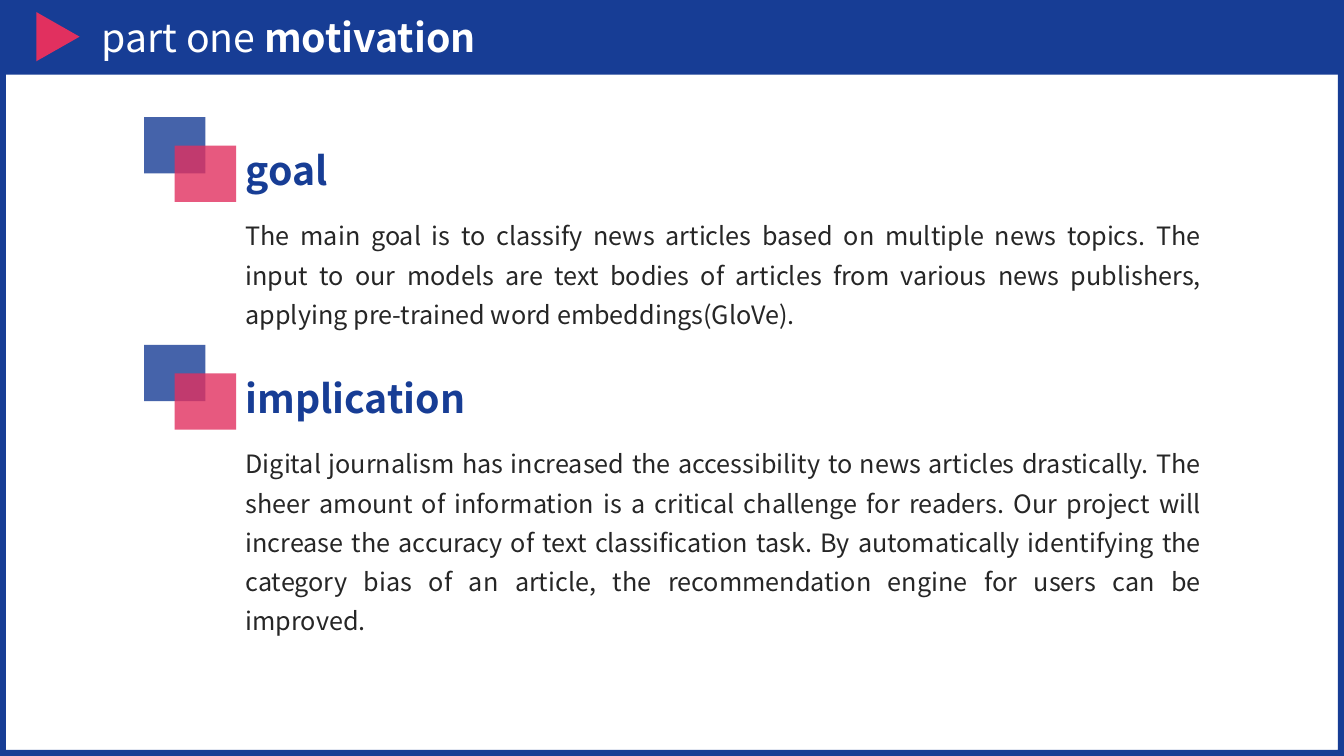
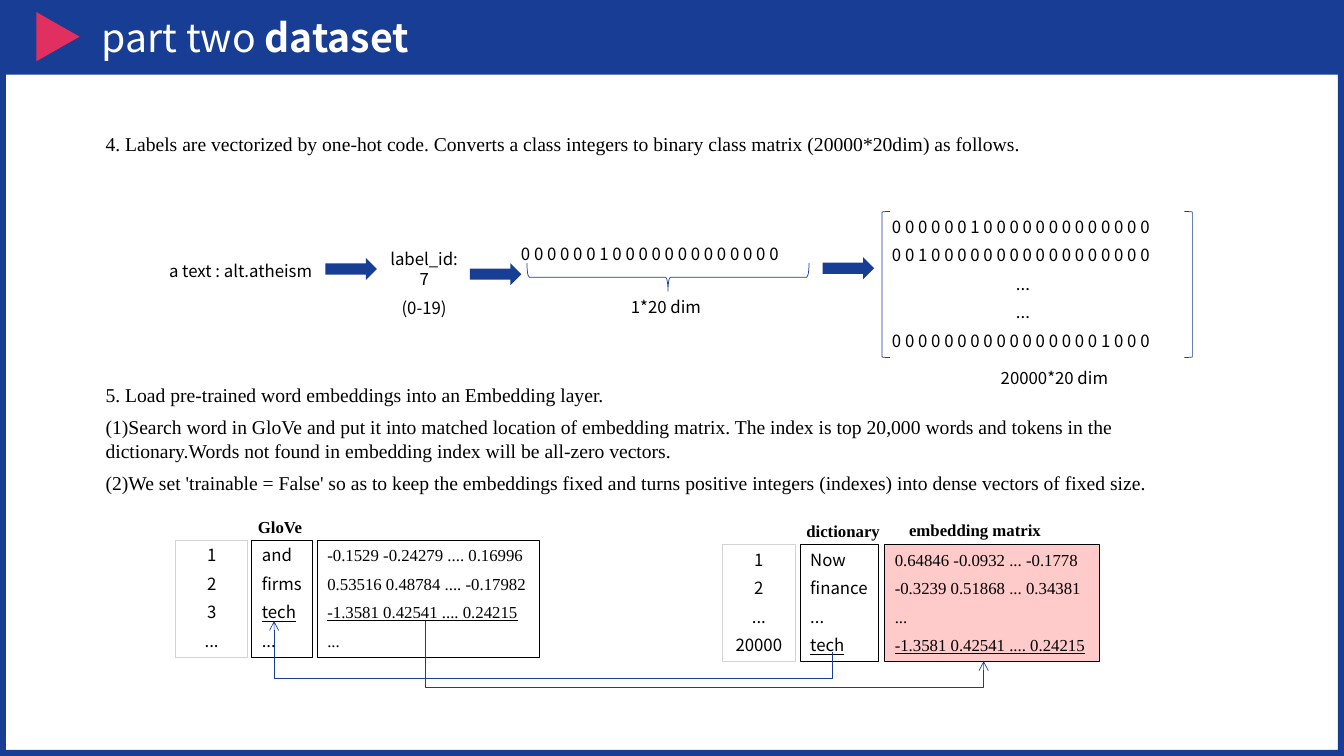
from lxml import etree
from pptx import Presentation
from pptx.dml.color import RGBColor
from pptx.enum.shapes import MSO_CONNECTOR, MSO_SHAPE
from pptx.enum.text import MSO_ANCHOR, MSO_AUTO_SIZE, PP_ALIGN
from pptx.oxml.ns import qn
from pptx.util import Cm, Pt

BLUE = RGBColor(0x17, 0x3D, 0x95)
RED = RGBColor(0xE1, 0x30, 0x5F)
PINK = RGBColor(0xFF, 0xCA, 0xCA)
GRAY = RGBColor(0xD3, 0xD3, 0xD3)
DARK = RGBColor(0x26, 0x26, 0x26)
BLACK = RGBColor(0, 0, 0)
WHITE = RGBColor(0xFF, 0xFF, 0xFF)
SANS = "Noto Sans CJK SC"
SERIF = "Times New Roman"
RECTANGLE = MSO_SHAPE.RECTANGLE
RIGHT_ARROW = MSO_SHAPE.RIGHT_ARROW
LEFT, CENTER, JUSTIFY = PP_ALIGN.LEFT, PP_ALIGN.CENTER, PP_ALIGN.JUSTIFY
TOP, MIDDLE = MSO_ANCHOR.TOP, MSO_ANCHOR.MIDDLE


def add_shape(slide, kind, box, fill=None, line=None, line_width=0.5):
    shape = slide.shapes.add_shape(kind, *[Cm(length) for length in box])
    shape.shadow.inherit = False
    if fill is None:
        shape.fill.background()
    else:
        shape.fill.solid()
        shape.fill.fore_color.rgb = fill
    if line is None:
        shape.line.fill.background()
    else:
        shape.line.color.rgb = line
        shape.line.width = Pt(line_width)
    return shape


def write_text(shape, lines, size=12, font=SANS, color=BLACK, bold=False,
               alignment=LEFT, before=6, first_spacing=None):
    frame = shape.text_frame
    frame.word_wrap = True
    frame.vertical_anchor = TOP
    if alignment == LEFT:
        frame.margin_right = 0
    frame.text = "\n".join(lines)
    for paragraph in frame.paragraphs:
        paragraph.alignment = alignment
        paragraph.space_before = Pt(before)
        for run in paragraph.runs:
            run.font.size = Pt(size)
            run.font.name = font
            run.font.bold = bold
            run.font.color.rgb = color
    if first_spacing:
        frame.paragraphs[0].line_spacing = first_spacing
    return frame


presentation = Presentation()
presentation.slide_width = Cm(33.87)
presentation.slide_height = Cm(19.05)
layout = presentation.slide_layouts[5]

layout_title = layout.placeholders[0]
layout_title.left, layout_title.top = Cm(2.31), Cm(0)
layout_title.width, layout_title.height = Cm(30.43), Cm(1.88)
layout_title.text_frame.vertical_anchor = MIDDLE
layout_title.text_frame.auto_size = MSO_AUTO_SIZE.NONE

slides = []
for part, topic in (("part one ", "motivation"), ("part two ", "dataset")):
    slide = presentation.slides.add_slide(layout)
    paragraph = slide.shapes.title.text_frame.paragraphs[0]
    paragraph.alignment = LEFT
    for text, bold in ((part, False), (topic, True)):
        run = paragraph.add_run()
        run.text = text
        run.font.size = Pt(28)
        run.font.name = SANS
        run.font.bold = bold
        run.font.color.rgb = WHITE
    slides.append(slide)
motivation, dataset = slides

border = add_shape(motivation, MSO_SHAPE.FRAME, (0, 0, 33.87, 19.05), BLUE)
border.adjustments[0] = 0.008
band = add_shape(motivation, RECTANGLE, (0, 0, 33.87, 1.88), BLUE)
marker = add_shape(motivation, MSO_SHAPE.ISOSCELES_TRIANGLE, (0.84, 0.38, 1.24, 1.09), RED)
marker.rotation = 90
for number, shape in enumerate((border, band, marker), 101):
    shape.element.xpath(".//p:cNvPr")[0].set("id", str(number))
    layout.shapes.element.append(shape.element)

sections = (
    (2.95, 3.25, "goal",
     "The main goal is to classify news articles based on multiple news topics. "
     "The input to our models are text bodies of articles from various news publishers, "
     "applying pre-trained word embeddings(GloVe)."),
    (8.69, 5.26, "implication",
     "Digital journalism has increased the accessibility to news articles drastically. "
     "The sheer amount of information is a critical challenge for readers. "
     "Our project will increase the accuracy of text classification task. "
     "By automatically identifying the category bias of an article, "
     "the recommendation engine for users can be improved."),
)
for top, body_height, heading, body in sections:
    for left, offset, color in ((3.63, 0, BLUE), (4.4, 0.72, RED)):
        square = add_shape(motivation, RECTANGLE, (left, top + offset, 1.55, 1.42), color)
        color_element = square.element.spPr.find(qn("a:solidFill"))[0]
        etree.SubElement(color_element, qn("a:alpha")).set("val", "80000")
    heading_box = motivation.shapes.add_textbox(Cm(5.94), Cm(top + 0.62), Cm(10), Cm(1.45))
    write_text(heading_box, [heading], 28, color=BLUE, bold=True, before=0)
    body_box = motivation.shapes.add_textbox(
        Cm(5.94), Cm(top + 2.26), Cm(24.59), Cm(body_height))
    write_text(body_box, [body], 18, color=DARK, alignment=JUSTIFY, before=0, first_spacing=1.3)

notes = (
    (3.02, 0.97, [
        "4. Labels are vectorized by one-hot code. Converts a class integers to binary "
        "class matrix (20000*20dim) as follows."]),
    (9.35, 3.25, [
        "5. Load pre-trained word embeddings into an Embedding layer.",
        "(1)Search word in GloVe and put it into matched location of embedding matrix. "
        "The index is top 20,000 words and tokens in the dictionary.Words not found in "
        "embedding index will be all-zero vectors.",
        "(2)We set 'trainable = False' so as to keep the embeddings fixed and turns "
        "positive integers (indexes) into dense vectors of fixed size."]),
)
for top, height, lines in notes:
    note_box = dataset.shapes.add_textbox(Cm(2.41), Cm(top), Cm(27.94), Cm(height))
    write_text(note_box, lines, 14, SERIF, first_spacing=1.3)

vectors = [" ".join("1" if index == hot else "0" for index in range(20)) for hot in (6, 2, 16)]
captions = (
    (4.01, 6.3, 4.19, "a text : alt.atheism", SANS),
    (12.88, 5.87, 7.87, vectors[0], SANS),
    (15.65, 7.21, 2.36, "1*20 dim", SANS),
    (24.97, 8.99, 3.35, "20000*20 dim", SANS),
    (6.25, 12.75, 1.65, "GloVe", SERIF),
    (20.07, 12.85, 2.36, "dictionary", SERIF),
    (22.66, 12.83, 3.84, "embedding matrix", SERIF),
)
for left, top, width, text, font in captions:
    caption = dataset.shapes.add_textbox(Cm(left), Cm(top), Cm(width), Cm(0.91))
    write_text(caption, [text], font=font, bold=font == SERIF, first_spacing=1.3)

label_box = dataset.shapes.add_textbox(Cm(9.49), Cm(6.15), Cm(2.4), Cm(1.5))
write_text(label_box, ["label_id: 7", "(0-19)"], alignment=CENTER)

matrix_box = dataset.shapes.add_textbox(Cm(22.23), Cm(5.33), Cm(6.85), Cm(3.68))
matrix_frame = write_text(matrix_box, [vectors[0], vectors[1], "...", "...", vectors[2]])
for paragraph in matrix_frame.paragraphs[2:4]:
    paragraph.alignment = CENTER

for left, top in ((8.2, 6.5), (11.84, 6.63), (20.73, 6.48)):
    add_shape(dataset, RIGHT_ARROW, (left, top, 1.3, 0.56), BLUE)
brace = add_shape(dataset, MSO_SHAPE.LEFT_BRACE, (16.48, 3.43, 0.71, 7.11), line=BLUE)
brace.rotation = 270
for kind, left in ((MSO_SHAPE.LEFT_BRACKET, 22.23), (MSO_SHAPE.RIGHT_BRACKET, 29.85)):
    add_shape(dataset, kind, (left, 5.33, 0.2, 3.68), line=BLUE)

tech_vector = "-1.3581 0.42541 .... 0.24215"
columns = (
    (4.42, 13.61, 1.83, ["1", "2", "3", "..."], SANS, CENTER, None, GRAY),
    (6.35, 13.61, 1.52, ["and", "firms", "tech", "..."], SANS, LEFT, None, BLACK),
    (8, 13.61, 5.61,
     ["-0.1529 -0.24279 .... 0.16996", "0.53516 0.48784 .... -0.17982", tech_vector, "..."],
     SERIF, LEFT, None, BLACK),
    (18.21, 13.72, 1.83, ["1", "2", "...", "20000"], SANS, CENTER, None, GRAY),
    (20.17, 13.72, 1.98, ["Now", "finance", "...", "tech"], SANS, LEFT, None, BLACK),
    (22.3, 13.72, 5.41,
     ["0.64846 -0.0932 ... -0.1778", "-0.3239 0.51868 ... 0.34381", "...", tech_vector],
     SERIF, LEFT, PINK, BLACK),
)
for left, top, width, lines, font, alignment, fill, line in columns:
    column = add_shape(dataset, RECTANGLE, (left, top, width, 2.95), fill, line, 0.75)
    column_frame = write_text(column, lines, font=font, alignment=alignment)
    for paragraph in column_frame.paragraphs:
        if paragraph.text in ("tech", tech_vector):
            paragraph.runs[0].font.underline = True

links = (
    (20.98, 16.43, 6.91, 15.65, 17.09, "flipH"),
    (10.72, 15.65, 24.79, 16.66, 17.32, "flipV"),
)
for start_x, start_y, end_x, end_y, turn_y, flip in links:
    center_x, center_y = (start_x + end_x) / 2, (start_y + end_y) / 2
    half_width, half_height = abs(end_y - start_y) / 2, abs(end_x - start_x) / 2
    link = dataset.shapes.add_connector(
        MSO_CONNECTOR.ELBOW,
        Cm(center_x - half_width), Cm(center_y - half_height),
        Cm(center_x + half_width), Cm(center_y + half_height))
    link.line.color.rgb = BLUE
    link.line.width = Pt(0.5)
    properties = link.element.spPr
    transform = properties.find(qn("a:xfrm"))
    transform.set("rot", "5400000")
    transform.set(flip, "1")
    guides = properties.find(qn("a:prstGeom")).find(qn("a:avLst"))
    guide = etree.SubElement(guides, qn("a:gd"))
    guide.set("name", "adj1")
    guide.set("fmla", f"val {round((turn_y - start_y) / (end_y - start_y) * 100000)}")
    etree.SubElement(properties.find(qn("a:ln")), qn("a:tailEnd")).set("type", "arrow")
    etree.SubElement(properties, qn("a:effectLst"))

presentation.save("out.pptx")
